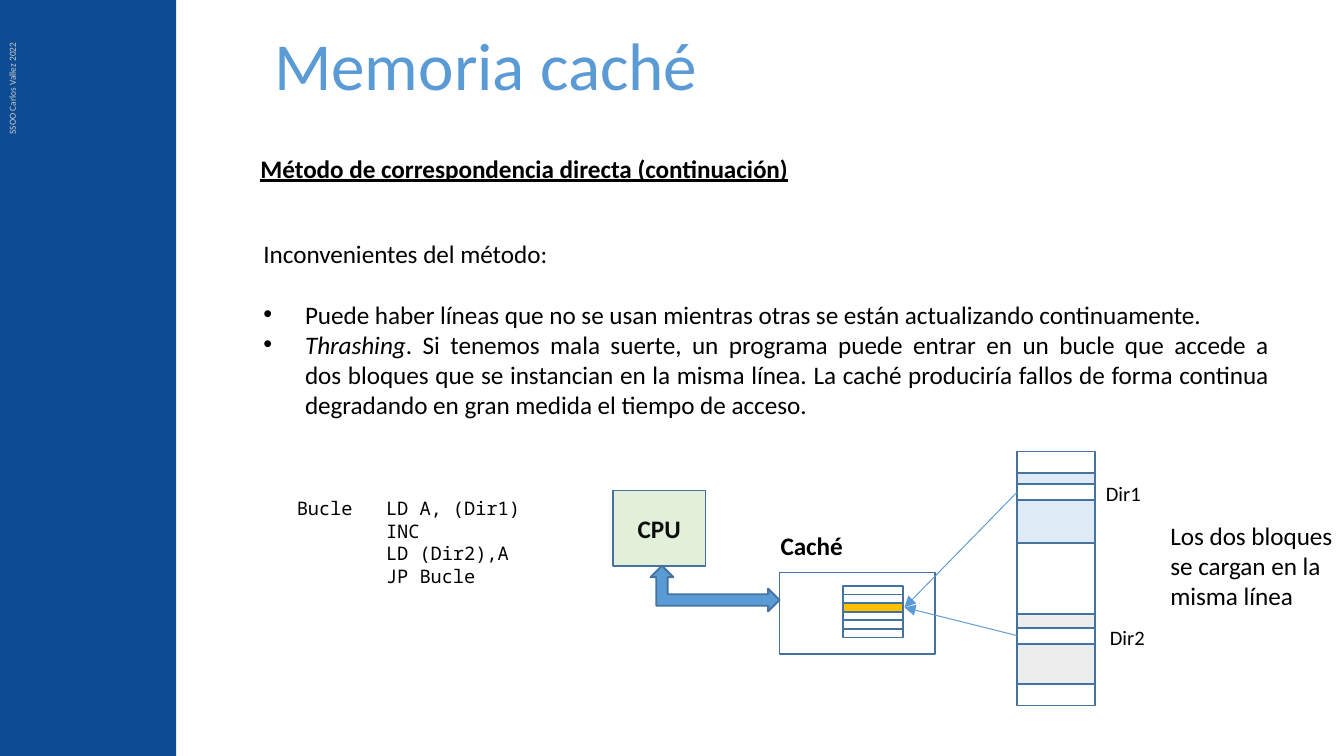
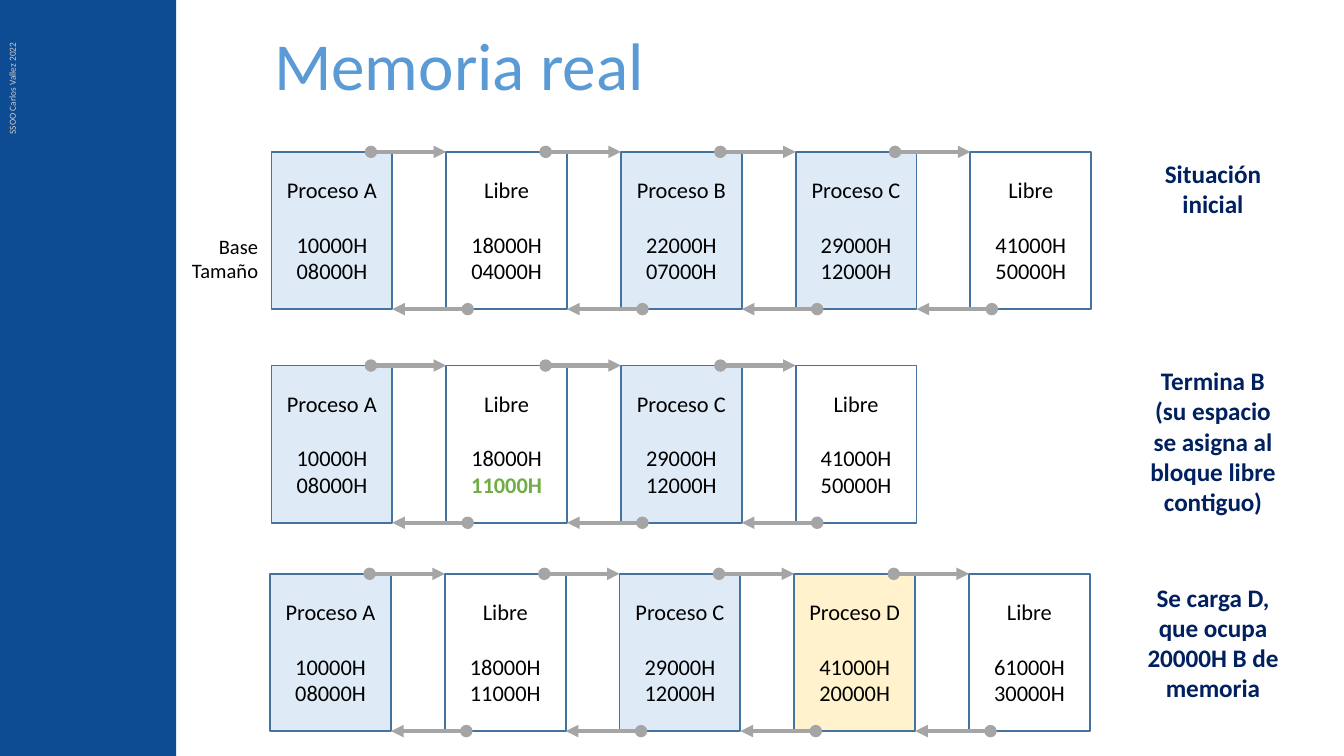
"""Build two slides on cache mapping and contiguous real memory."""
from copy import deepcopy

from lxml.etree import SubElement
from pptx import Presentation
from pptx.dml.color import RGBColor
from pptx.enum.shapes import MSO_CONNECTOR as Connector, MSO_SHAPE as Preset
from pptx.enum.text import MSO_ANCHOR as Anchor, MSO_AUTO_SIZE as AutoSize, PP_ALIGN as Align
from pptx.oxml.ns import qn
from pptx.util import Inches, Pt

prs = Presentation()
prs.slide_width, prs.slide_height = Inches(10), Inches(5.625)
UNIT = prs.slide_width / 100
hex_colour = RGBColor.from_string
BLUE, OUTLINE, PALE, WHITE, BLACK = "5B9BD5", "43739E", "DEEBF7", "FFFFFF", "000000"
GREY, NAVY = "A5A5A5", "002060"


def draw(slide, preset, box, fill=None, line=OUTLINE):
    """Add a preset shape; box is left, top, width, height in grid units."""
    shape = slide.shapes.add_shape(preset, *[round(v * UNIT) for v in box])
    shape.shadow.inherit = False
    if fill:
        shape.fill.solid()
        shape.fill.fore_color.rgb = hex_colour(fill)
    else:
        shape.fill.background()
    if line:
        shape.line.color.rgb = hex_colour(line)
        shape.line.width = Pt(1)
    else:
        shape.line.fill.background()
    return shape


def write(shape, paragraphs, size, colour=BLACK, align=Align.LEFT, bold=False, font="Calibri"):
    """Write paragraphs, each a string or a list of runs, and return the text frame."""
    frame = shape.text_frame
    for index, content in enumerate(paragraphs):
        paragraph = frame.paragraphs[0] if index == 0 else frame.add_paragraph()
        paragraph.alignment = align
        paragraph.space_before = Pt(0)
        for piece in [content] if isinstance(content, str) else content:
            for number, text in enumerate(piece.split("\n")):
                if number:
                    paragraph.add_line_break()
                run = paragraph.add_run()
                run.text = text
                run.font.name, run.font.size, run.font.bold = font, Pt(size), bold
                run.font.color.rgb = hex_colour(colour)
    for line_break in shape.element.iter(qn("a:br")):
        line_break.append(deepcopy(line_break.getprevious().find(qn("a:rPr"))))
    return frame


cache_slide = prs.slides.add_slide(prs.slide_layouts[1])
real_slide = prs.slides.add_slide(prs.slide_layouts[5])

band = draw(cache_slide, Preset.RECTANGLE, (-0.1, 0, 13.2, 56.25), "0D4B92", None)
credit = cache_slide.shapes.add_textbox(*[round(v * UNIT) for v in (-6.6, 2.5, 15.1, 1.9)])
credit.rotation = 270
write(credit, ["SSOO Carlos Vallez 2022"], 5, "D0CECE").word_wrap = True
for number, shared in enumerate((band, credit)):
    shared.element.nvSpPr.cNvPr.set("id", str(20 + number))
    prs.slide_master.element.cSld.spTree.append(shared.element)

for slide, heading in ((cache_slide, "Memoria caché"), (real_slide, "Memoria real")):
    title = slide.shapes.title
    title.left, title.top, title.width, title.height = [
        round(v * UNIT) for v in (19.4, 2.5, 77.1, 5.8)]
    frame = write(title, [heading], 36, BLUE)
    frame.auto_size, frame.vertical_anchor = AutoSize.NONE, Anchor.BOTTOM
    frame.paragraphs[0].line_spacing = 0.9

drawbacks = cache_slide.placeholders[1]
drawbacks.left, drawbacks.top, drawbacks.width, drawbacks.height = [
    round(v * UNIT) for v in (18.6, 17.2, 76.8, 14.6)]
frame = write(drawbacks, [
    "Inconvenientes del método:",
    "Puede haber líneas que no se usan mientras otras se están actualizando continuamente.",
    ["Thrashing", ". Si tenemos mala suerte, un programa puede entrar en un bucle que accede a\n"
     "dos bloques que se instancian en la misma línea. La caché produciría fallos de forma continua\n"
     "degradando en gran medida el tiempo de acceso."],
], 13.5, align=Align.JUSTIFY)
frame.auto_size, frame.vertical_anchor = AutoSize.NONE, Anchor.TOP
for index, paragraph in enumerate(frame.paragraphs):
    properties = paragraph.alignment and paragraph._p.get_or_add_pPr()
    indent = Inches(0.31) if index else 0
    properties.set("marL", str(indent))
    properties.set("indent", str(-indent))
    if index:
        SubElement(properties, qn("a:buChar")).set("char", "•")
    else:
        SubElement(properties, qn("a:buNone"))
frame.paragraphs[1].space_before = Pt(16.5)
frame.paragraphs[2].runs[0].font.italic = True

MEMORY_LEFT, MEMORY_WIDTH = 75.7, 5.8
for top, height, fill in ((45.7, 5.2, "EDEDED"), (35.2, 5.2, PALE), (33.6, 18.9, None),
                          (36, 1.2, WHITE), (46.7, 1.2, WHITE)):
    draw(cache_slide, Preset.RECTANGLE, (MEMORY_LEFT, top, MEMORY_WIDTH, height), fill)

cpu = draw(cache_slide, Preset.RECTANGLE, (45.6, 36.5, 6.9, 5.6), "E2F0D9")
write(cpu, ["CPU"], 13.5, "0D0D0D", Align.CENTER, True).vertical_anchor = Anchor.MIDDLE
draw(cache_slide, Preset.RECTANGLE, (58, 42.6, 11.6, 6.1), WHITE)
for line_number in range(6):
    draw(cache_slide, Preset.RECTANGLE, (62.7, 43.6 + 0.64 * line_number, 4.5, 0.64),
         "FFC000" if line_number == 2 else WHITE)
draw(cache_slide, Preset.LEFT_UP_ARROW, (51.5, 39, 3.4, 9.6), BLUE).rotation = 90

arrows = [(cache_slide, (MEMORY_LEFT, y, 67.3, 45.2), BLUE, 0.5, None) for y in (36.6, 47.3)]

PITCH, BLOCK_WIDTH, BLOCK_HEIGHT = 13, 9, 11.7
rows = (
    (20.2, 11.3, (("Proceso A", "10000H", "08000H", PALE), ("Libre", "18000H", "04000H", WHITE),
                  ("Proceso B", "22000H", "07000H", PALE), ("Proceso C", "29000H", "12000H", PALE),
                  ("Libre", "41000H", "50000H", WHITE))),
    (20.2, 27.2, (("Proceso A", "10000H", "08000H", PALE), ("Libre", "18000H", "11000H", WHITE),
                  ("Proceso C", "29000H", "12000H", PALE), ("Libre", "41000H", "50000H", WHITE))),
    (20.1, 42.7, (("Proceso A", "10000H", "08000H", PALE), ("Libre", "18000H", "11000H", WHITE),
                  ("Proceso C", "29000H", "12000H", PALE), ("Proceso D", "41000H", "20000H", "FFF2CC"),
                  ("Libre", "61000H", "30000H", WHITE))),
)
for row_number, (row_left, top, blocks) in enumerate(rows):
    for column, (owner, base, length, fill) in enumerate(blocks):
        left = row_left + PITCH * column
        block = draw(real_slide, Preset.RECTANGLE, (left, top, BLOCK_WIDTH, BLOCK_HEIGHT), fill)
        frame = write(block, [owner, base, length], 12, align=Align.CENTER)
        frame.vertical_anchor = Anchor.MIDDLE
        frame.paragraphs[1].space_before = Pt(14.6)
        if (row_number, column) == (1, 1):
            merged = frame.paragraphs[2].runs[0].font
            merged.bold, merged.color.rgb = True, hex_colour("70AD47")
        if column:
            bottom, previous = top + BLOCK_HEIGHT, left - PITCH
            arrows.append((real_slide, (previous + 7.4, top, left, top), GREY, 2.25, "oval"))
            arrows.append((real_slide, (left + 1.6, bottom, previous + BLOCK_WIDTH, bottom),
                           GREY, 2.25, "oval"))

for slide, points, colour, width, head in arrows:
    arrow = slide.shapes.add_connector(Connector.STRAIGHT, *[round(v * UNIT) for v in points])
    arrow.line.color.rgb = hex_colour(colour)
    arrow.line.width = Pt(width)
    outline = arrow.element.spPr.find(qn("a:ln"))
    if head:
        SubElement(outline, qn("a:headEnd")).set("type", head)
    SubElement(outline, qn("a:tailEnd")).set("type", "triangle")
    SubElement(arrow.element.spPr, qn("a:effectLst"))

code = ["Bucle   LD A, (Dir1)", "        INC", "        LD (Dir2),A", "        JP Bucle"]
labels = (
    (cache_slide, (18.4, 10.9, 50, 3.3), True, ["Método de correspondencia directa (continuación)"],
     (13.5, BLACK, Align.JUSTIFY, True)),
    (cache_slide, (57.1, 39, 6.7, 3.3), False, ["Caché"], (13.5, BLACK, Align.LEFT, True)),
    (cache_slide, (81.3, 35.3, 4.6, 2.9), False, ["Dir1"], (11,)),
    (cache_slide, (81.6, 46, 4.6, 2.9), False, ["Dir2"], (11,)),
    (cache_slide, (86.1, 38.2, 14.7, 7.8), False,
     ["Los dos bloques", "se cargan en la", "misma línea"], (13.5,)),
    (cache_slide, (21.1, 36.5, 18.8, 7.7), False, code,
     (10, BLACK, Align.LEFT, False, "Noto Sans Mono")),
    (real_slide, (13.1, 16.9, 7.1, 4.7), False, ["Base\nTamaño"], (11, BLACK, Align.RIGHT)),
    (real_slide, (84, 11.3, 12.5, 5.6), True, ["Situación", "inicial"],
     (13.5, NAVY, Align.CENTER, True)),
    (real_slide, (84, 26.7, 12.5, 12.4), True,
     ["Termina B", "(su espacio se asigna al bloque libre contiguo)"],
     (13.5, NAVY, Align.CENTER, True)),
    (real_slide, (84, 42.8, 12.5, 10.1), True, ["Se carga D, que ocupa 20000H B de memoria"],
     (13.5, NAVY, Align.CENTER, True)),
)
for slide, box, wraps, paragraphs, style in labels:
    label = slide.shapes.add_textbox(*[round(v * UNIT) for v in box])
    frame = write(label, paragraphs, *style)
    frame.word_wrap, frame.auto_size = wraps, AutoSize.SHAPE_TO_FIT_TEXT
    if style[2:3] == (Align.JUSTIFY,):
        frame.paragraphs[0].runs[0].font.underline = True

prs.save("out.pptx")
